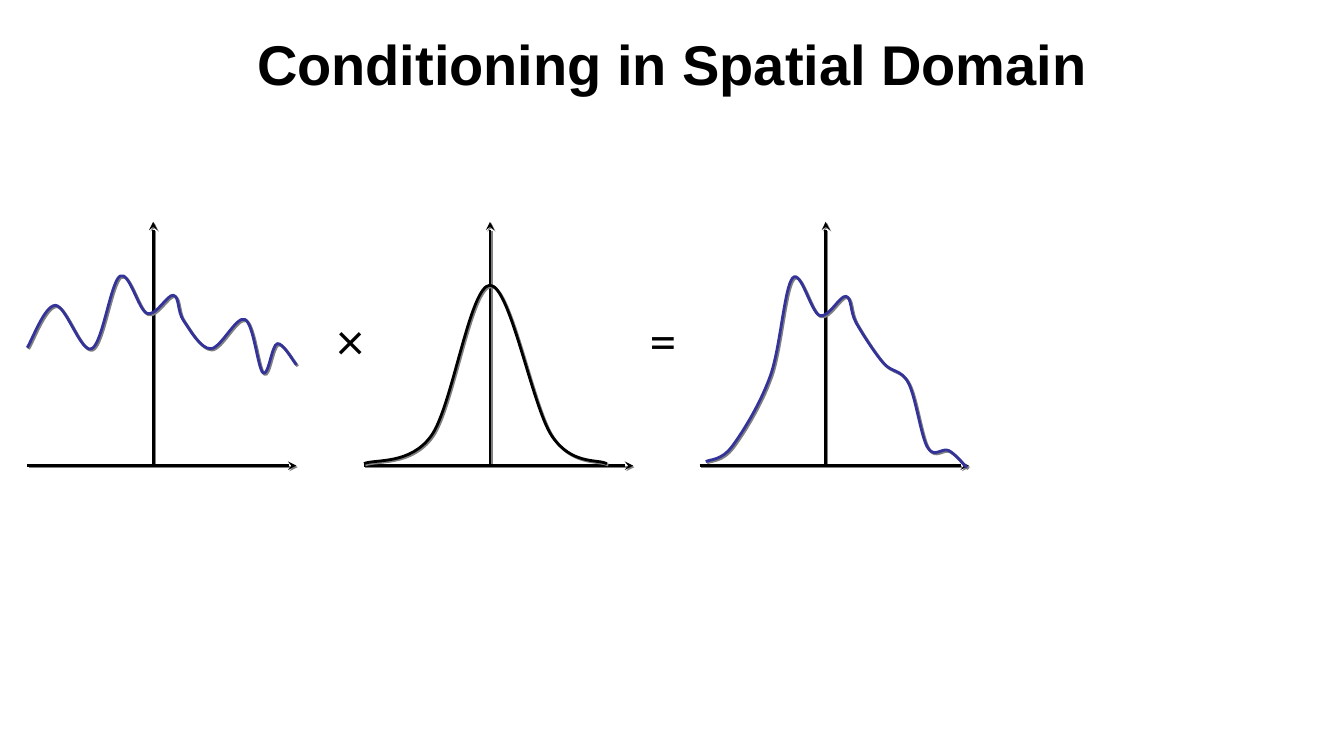
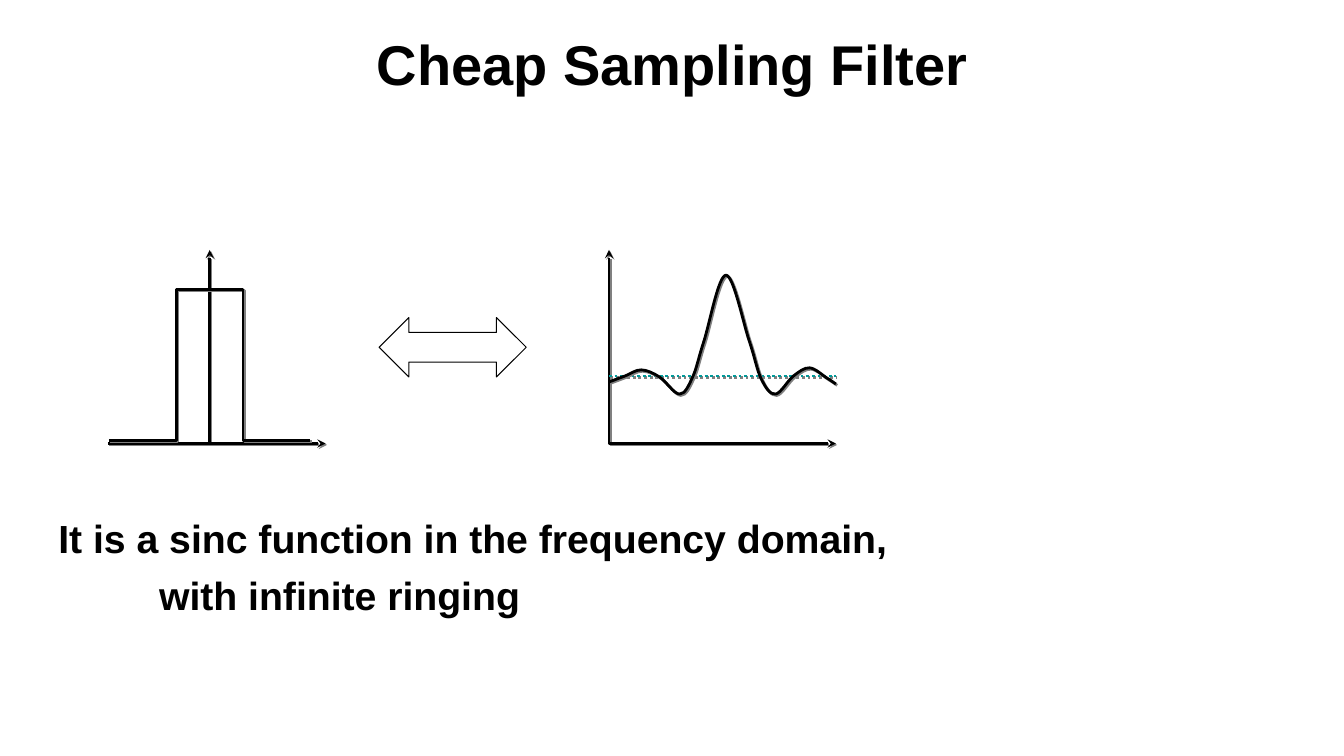
from lxml.etree import SubElement
from pptx import Presentation
from pptx.dml.color import RGBColor
from pptx.enum.dml import MSO_LINE
from pptx.enum.shapes import MSO_CONNECTOR, MSO_SHAPE
from pptx.enum.text import MSO_ANCHOR, PP_ALIGN
from pptx.oxml.ns import qn
from pptx.util import Pt

PX = 9144
COLORS = {
    "ink": "000000",
    "signal": "333399",
    "zero": "009999",
    "shadow": "808080",
    "title_shadow": "C0C0C0",
}
HEADING_FONT = "Arial"
SYMBOL_FONT = "Lato"

SIGNAL = [(27, 345), (55, 303), (91, 346), (119, 274), (146, 311), (172, 293),
          (182, 318), (209, 346), (243, 317), (261, 370), (275, 341), (294, 362)]
GAUSSIAN = [(361, 460), (428, 432), (486, 283), (547, 432), (602, 460)]
CONDITIONED = [(700, 458), (726, 443), (764, 373), (786, 276), (813, 313), (839, 294),
               (849, 320), (876, 360), (901, 380), (920, 444), (941, 447), (959, 464)]
BOX_FILTER = [(108, 437), (175, 437), (175, 287), (241, 287), (241, 437), (308, 437)]
SINC = [(604, 379), (620, 373), (636, 367), (654, 374), (674, 391), (687, 374),
        (698, 339), (720, 273), (743, 338), (755, 376), (769, 391), (787, 373),
        (803, 365), (820, 375), (829, 381)]


class Deck:
    def __init__(self):
        self.presentation = Presentation()
        self.presentation.slide_width = 1333 * PX
        self.presentation.slide_height = 750 * PX
        self.slide = None

    def add_slide(self, heading):
        self.slide = self.presentation.slides.add_slide(self.presentation.slide_layouts[5])
        title = self.slide.shapes.title
        title.left, title.top, title.width, title.height = (n * PX for n in (22, 17, 1289, 92))
        frame = title.text_frame
        frame.text = heading
        frame.vertical_anchor = MSO_ANCHOR.MIDDLE
        frame.paragraphs[0].alignment = PP_ALIGN.CENTER
        run = frame.paragraphs[0].runs[0]
        self.format_run(run, HEADING_FONT, 40, True)
        properties = run.font._element
        effects = SubElement(properties, qn("a:effectLst"))
        properties.find(qn("a:solidFill")).addnext(effects)
        self.cast_shadow(effects, "title_shadow", 2.8)

    def format_run(self, run, font, size, bold=False):
        run.font.name = font
        run.font.size = Pt(size)
        run.font.bold = bold
        run.font.color.rgb = RGBColor.from_string(COLORS["ink"])

    def cast_shadow(self, effects, color, distance):
        shadow = SubElement(effects, qn("a:outerShdw"), dist=str(Pt(distance)),
                            dir="2700000", algn="ctr", rotWithShape="0")
        SubElement(shadow, qn("a:srgbClr"), val=COLORS[color])

    def stroke(self, shape, color="ink", dash=None, ends=()):
        shape.line.width = Pt(2)
        shape.line.color.rgb = RGBColor.from_string(COLORS[color])
        if dash:
            shape.line.dash_style = dash
        properties = shape._element.spPr
        for end in ends:
            SubElement(properties.find(qn("a:ln")), qn(f"a:{end}"), type="stealth")
        self.cast_shadow(SubElement(properties, qn("a:effectLst")), "shadow", 1.4)

    def line(self, start, finish, **style):
        connector = self.slide.shapes.add_connector(
            MSO_CONNECTOR.STRAIGHT, *(n * PX for n in (*start, *finish)))
        self.stroke(connector, **style)

    def axes(self, origin, base, top, left, right):
        self.line((origin, base), (origin, top), ends=["tailEnd"])
        self.line((origin - left, base), (origin + right, base), ends=["tailEnd"])

    def polyline(self, points, **style):
        start, *others = [(round(x * PX), round(y * PX)) for x, y in points]
        builder = self.slide.shapes.build_freeform(*start, scale=1.0)
        builder.add_line_segments(others, close=False)
        shape = builder.convert_to_shape()
        shape.fill.background()
        self.stroke(shape, **style)
        return shape

    def curve(self, knots, color="ink"):
        padded = [knots[0], *knots, knots[-1]]
        points = [knots[0]]
        for before, start, finish, after in zip(padded, knots, knots[1:], padded[3:]):
            points.append(tuple(s + (f - b) / 6 for b, s, f in zip(before, start, finish)))
            points.append(tuple(f - (a - s) / 6 for s, f, a in zip(start, finish, after)))
            points.append(finish)
        shape = self.polyline(points, color=color)
        outline = shape._element.find(".//" + qn("a:path"))
        segments = outline.findall(qn("a:lnTo"))
        for first in range(0, len(segments), 3):
            bezier = SubElement(outline, qn("a:cubicBezTo"))
            for segment in segments[first:first + 3]:
                bezier.append(segment[0])
                outline.remove(segment)

    def text_box(self, left, top, width, height, lines):
        box = self.slide.shapes.add_textbox(*(n * PX for n in (left, top, width, height)))
        box.text_frame.word_wrap = True
        box.text_frame.text = "\n".join(lines)
        return box.text_frame.paragraphs

    def operator(self, left, symbol):
        paragraph, = self.text_box(left, 303, 93, 70, [symbol])
        paragraph.alignment = PP_ALIGN.CENTER
        self.format_run(paragraph.runs[0], SYMBOL_FONT, 36)

    def statement(self, left, top, width, height, lines):
        for level, paragraph in enumerate(self.text_box(left, top, width, height, lines)):
            paragraph.space_before = Pt(7)
            paragraph._p.get_or_add_pPr().set("marL", str(level * 100 * PX))
            self.format_run(paragraph.runs[0], HEADING_FONT, 28, True)

    def double_arrow(self, left, top, width, height):
        arrow = self.slide.shapes.add_shape(
            MSO_SHAPE.LEFT_RIGHT_ARROW, *(n * PX for n in (left, top, width, height)))
        arrow.shadow.inherit = False
        arrow.fill.background()
        arrow.line.width = Pt(0.75)
        arrow.line.color.rgb = RGBColor.from_string(COLORS["ink"])


def spatial_conditioning(deck):
    deck.add_slide("Conditioning in Spatial Domain")
    plots = [(152, SIGNAL, "signal"), (486, GAUSSIAN, "ink"), (819, CONDITIONED, "signal")]
    for origin, knots, color in plots:
        deck.axes(origin, base=462, top=220, left=125, right=142)
        deck.curve(knots, color)
    deck.operator(301, "×")
    deck.operator(611, "=")


def cheap_filter(deck):
    deck.add_slide("Cheap Sampling Filter")
    deck.axes(208, base=440, top=248, left=101, right=115)
    deck.polyline(BOX_FILTER)
    deck.statement(48, 505, 862, 111, ["It is a sinc function in the frequency domain,",
                                       "with infinite ringing"])
    deck.polyline([(604, 248), (604, 440), (829, 440)], ends=["headEnd", "tailEnd"])
    deck.line((604, 373), (829, 373), color="zero", dash=MSO_LINE.ROUND_DOT)
    deck.curve(SINC)
    deck.double_arrow(376, 315, 146, 59)


def main():
    deck = Deck()
    spatial_conditioning(deck)
    cheap_filter(deck)
    deck.presentation.save("out.pptx")


if __name__ == "__main__":
    main()
